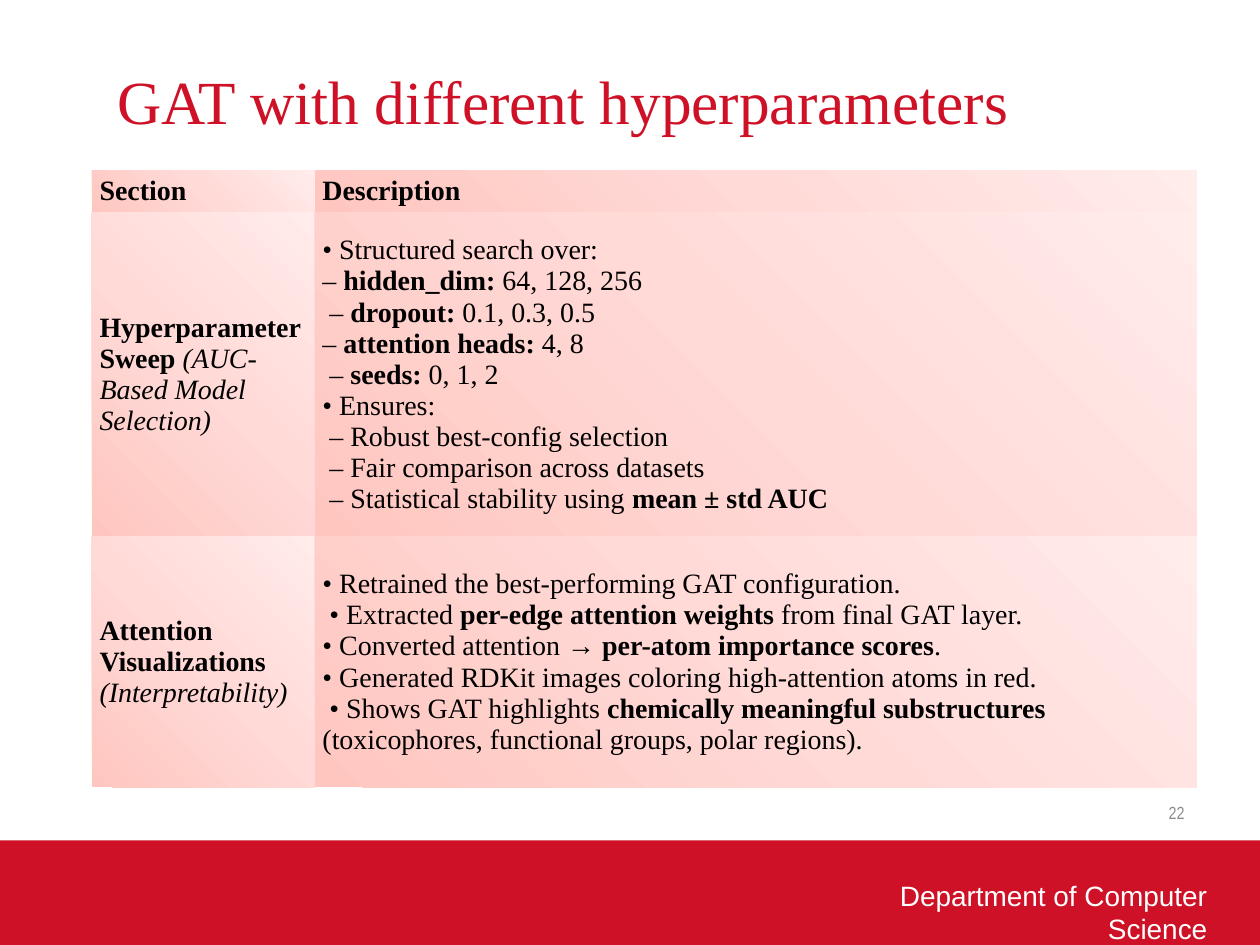
from lxml import etree
from pptx import Presentation
from pptx.dml.color import RGBColor
from pptx.enum.shapes import MSO_SHAPE
from pptx.enum.text import MSO_ANCHOR, PP_ALIGN
from pptx.oxml import parse_xml
from pptx.oxml.ns import nsdecls, qn
from pptx.util import Inches, Pt

LEFT, RIGHT = PP_ALIGN.LEFT, PP_ALIGN.RIGHT
MIDDLE = MSO_ANCHOR.MIDDLE
RECTANGLE = MSO_SHAPE.RECTANGLE

THEME = {
    "red": "CE1126", "white": "FFFFFF", "black": "000000", "gray": "8C8C8C",
    "gradient": {0: "FFC6C0", 50: "FFDAD7", 100: "FFECEB"},
    "serif": "Times New Roman", "sans": "Arial", "narrow": "Arial Narrow",
    "title": 35, "body": 16, "number": 10,
}
NO_STYLE = "{2D5ABB26-0587-4C30-8999-92F81FD0307C}"


def write(frame, text, *, font=THEME["serif"], size=THEME["body"],
          color=THEME["black"], align=LEFT, italic=False):
    """Write one paragraph per line; *stars* mark bold, a leading > indents.

    With italic=True the text outside the stars is italic.
    """
    frame.word_wrap = True
    for number, line in enumerate(text.split("\n")):
        para = frame.add_paragraph() if number else frame.paragraphs[0]
        para.alignment = align
        if line.startswith(">"):
            para._p.get_or_add_pPr().set("indent", str(Pt(4)))
        for index, part in enumerate(line.lstrip(">").split("*")):
            if part:
                span = para.add_run()
                span.text = part
                span.font.name, span.font.size = font, Pt(size)
                span.font.color.rgb = RGBColor.from_string(color)
                span.font.bold = index % 2 == 1
                span.font.italic = italic and index % 2 == 0


def fill_gradient(cell):
    gradient = parse_xml(f'<a:gradFill {nsdecls("a")} rotWithShape="1"><a:gsLst/>'
                         '<a:lin ang="18900000" scaled="0"/></a:gradFill>')
    for percent, color in THEME["gradient"].items():
        stop = etree.SubElement(gradient[0], qn("a:gs"), pos=str(percent * 1000))
        etree.SubElement(stop, qn("a:srgbClr"), val=color)
    cell._tc.get_or_add_tcPr().append(gradient)


deck = Presentation()
deck.slide_width, deck.slide_height = Inches(10), Inches(7.5)
page = deck.slides.add_slide(deck.slide_layouts[5])

# Footer band with the department name
band = page.shapes.add_shape(RECTANGLE, 0, Inches(6.67), deck.slide_width, Inches(0.83))
band.shadow.inherit = False
band.fill.solid()
band.fill.fore_color.rgb = RGBColor.from_string(THEME["red"])
band.line.fill.background()
department = page.shapes.add_textbox(Inches(6.43), Inches(6.92), Inches(3.25), Inches(0.37))
write(department.text_frame, "Department of Computer Science", font=THEME["sans"],
      color=THEME["white"], align=RIGHT)

# Title
title = page.shapes.title
title.left, title.top = Inches(0.83), Inches(0.17)
title.width, title.height = Inches(8.17), Inches(1.25)
title.text_frame.vertical_anchor = MIDDLE
write(title.text_frame, "GAT with different hyperparameters",
      size=THEME["title"], color=THEME["red"])

# Page number
number_box = page.shapes.add_textbox(Inches(7.17), Inches(6.25), Inches(2.33), Inches(0.4))
number_box.text_frame.vertical_anchor = MIDDLE
write(number_box.text_frame, "22", font=THEME["narrow"], size=THEME["number"],
      color=THEME["gray"], align=RIGHT)

# Table of sections and descriptions
SWEEP = """• Structured search over:
– *hidden_dim:* 64, 128, 256
>– *dropout:* 0.1, 0.3, 0.5
– *attention heads:* 4, 8
>– *seeds:* 0, 1, 2
• Ensures:
>– Robust best-config selection
>– Fair comparison across datasets
>– Statistical stability using *mean ± std AUC*"""
ATTENTION = """• Retrained the best-performing GAT configuration.
>• Extracted *per-edge attention weights* from final GAT layer.
• Converted attention → *per-atom importance scores*.
• Generated RDKit images coloring high-attention atoms in red.
>• Shows GAT highlights *chemically meaningful substructures* \
(toxicophores, functional groups, polar regions)."""
ROWS = [
    ("*Section*", "*Description*"),
    ("*Hyperparameter Sweep *(AUC-Based Model Selection)", SWEEP),
    ("*Attention Visualizations *(Interpretability)", ATTENTION),
]
COLUMN_WIDTHS = [1.77, 7]
ROW_HEIGHTS = [0.34, 2.57, 1.99]

table = page.shapes.add_table(
    len(ROWS), len(COLUMN_WIDTHS), Inches(0.73), Inches(1.35),
    Inches(sum(COLUMN_WIDTHS)), Inches(sum(ROW_HEIGHTS))).table
table.first_row = table.horz_banding = False
table._tbl.tblPr.find(qn("a:tableStyleId")).text = NO_STYLE
for column, width in zip(table.columns, COLUMN_WIDTHS):
    column.width = Inches(width)
for row, height, texts in zip(table.rows, ROW_HEIGHTS, ROWS):
    row.height = Inches(height)
    for index, (cell, text) in enumerate(zip(row.cells, texts)):
        cell.vertical_anchor = MIDDLE
        cell.margin_left = cell.margin_right = Inches(0.06)
        cell.margin_top = cell.margin_bottom = Inches(0.03)
        fill_gradient(cell)
        write(cell.text_frame, text, italic=index == 0)

deck.save("out.pptx")
